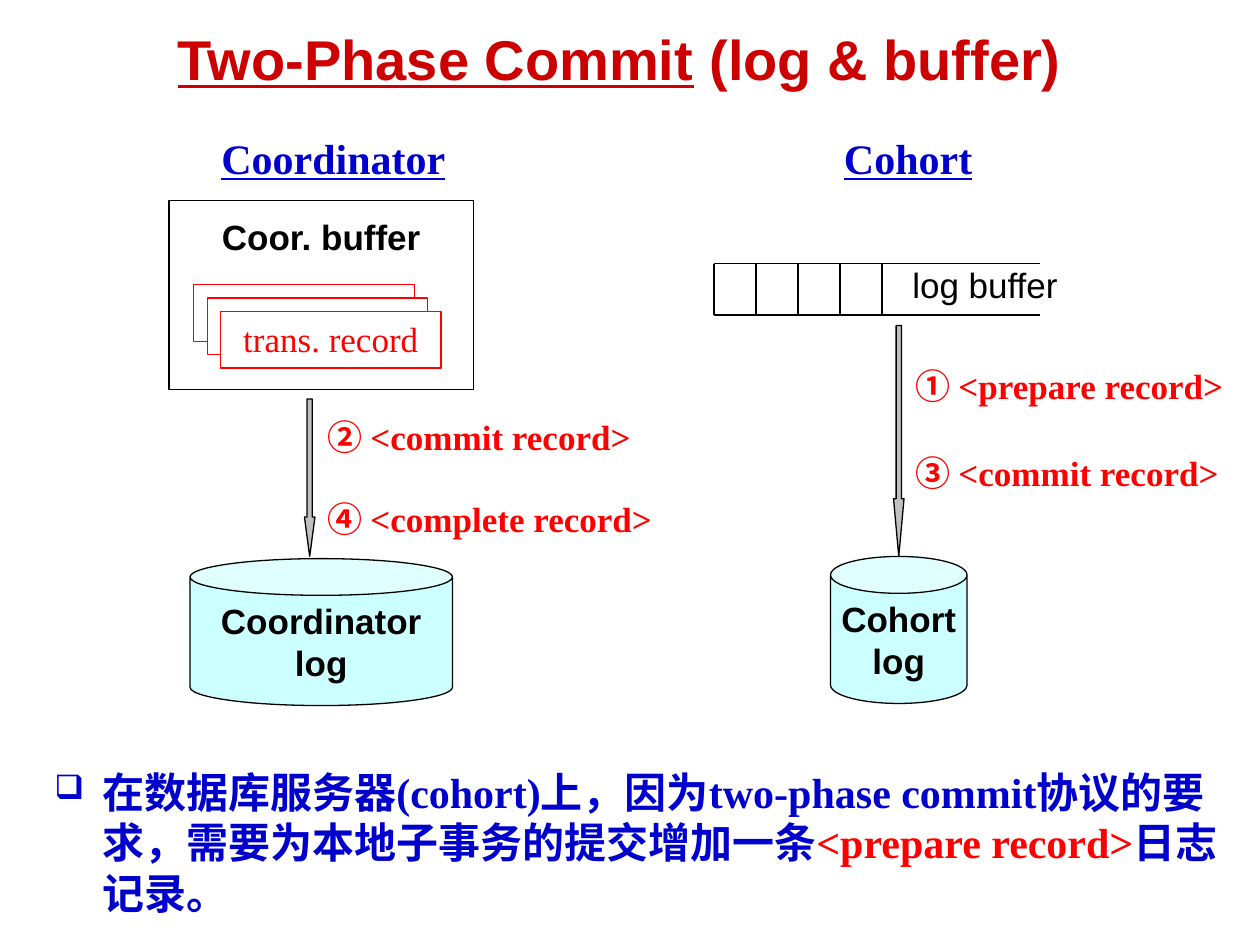
from lxml.etree import SubElement
from pptx import Presentation
from pptx.dml.color import RGBColor
from pptx.enum.shapes import MSO_CONNECTOR, MSO_SHAPE
from pptx.enum.text import MSO_ANCHOR as ANCHOR, PP_ALIGN as ALIGN
from pptx.oxml.ns import qn
from pptx.util import Inches, Pt

COLORS = {"title": "CC0000", "heading": "0000CC", "record": "FF0000", "ink": "000000",
          "paper": "FFFFFF", "disk": "CCFFFF", "arrow": "C0C0C0"}
SANS, SERIF, CJK = "Arial", "Times New Roman", "Noto Sans CJK SC"
CELL = Inches(1) // 12  # the slide is a grid of 120 columns by 90 rows


def cells(*counts):
    return [round(count * CELL) for count in counts]


def color(name):
    return RGBColor.from_string(COLORS[name])


def write(shape, lines, size=20, font=SANS, ink="ink", bold=True, underline=False,
          align=ALIGN.LEFT, anchor=ANCHOR.TOP, wrap=True, spacing=None):
    """Fill a shape with lines; a line is a list of (text, changes) runs."""
    frame = shape.text_frame
    frame.word_wrap = wrap
    frame.vertical_anchor = anchor
    for index, runs in enumerate(lines):
        paragraph = frame.add_paragraph() if index else frame.paragraphs[0]
        paragraph.alignment = align
        if spacing:
            paragraph.line_spacing = spacing
        for text, changes in runs:
            look = {"font": font, "ink": ink, "underline": underline, **changes}
            run = paragraph.add_run()
            run.text = text
            run.font.size = Pt(size)
            run.font.name = look["font"]
            run.font.bold = bold
            run.font.underline = look["underline"]
            run.font.color.rgb = color(look["ink"])
            SubElement(run.font._element, qn("a:ea"), typeface=CJK)
    return frame


class Diagram:
    def __init__(self, slide, line_width=0.75):
        self.shapes = slide.shapes
        self.line_width = Pt(line_width)

    def text(self, box, lines, **look):
        return write(self.shapes.add_textbox(*cells(*box)), lines, **look)

    def shape(self, kind, box, fill="paper", line="ink", adjust=(), lines=(), **look):
        shape = self.shapes.add_shape(kind, *cells(*box))
        shape.shadow.inherit = False
        shape.fill.solid()
        shape.fill.fore_color.rgb = color(fill)
        shape.line.color.rgb = color(line)
        shape.line.width = self.line_width
        for index, value in enumerate(adjust):
            shape.adjustments[index] = value
        if lines:
            write(shape, lines, align=ALIGN.CENTER, **look)
        return shape

    def line(self, *ends):
        line = self.shapes.add_connector(MSO_CONNECTOR.STRAIGHT, *cells(*ends))
        line.line.color.rgb = color("ink")
        line.line.width = self.line_width
        SubElement(line._element.spPr, qn("a:effectLst"))

    def disk(self, box, name, lid):
        self.shape(MSO_SHAPE.CAN, box, "disk", adjust=[lid], wrap=False,
                   anchor=ANCHOR.MIDDLE, lines=[[(name, {})], [("log", {})]])

    def arrow(self, box, head):
        self.shape(MSO_SHAPE.DOWN_ARROW, box, "arrow", adjust=[0.5, head])

    def step(self, left, top, number, record):
        self.text((left, top, 34, 6.2), [[(number + " ", {"font": CJK}), (record, {})]],
                  font=SERIF, ink="record", spacing=1.25)

    def bullet(self, box, runs):
        frame = self.text(box, [runs], size=24, font=SERIF, ink="heading")
        properties = frame.paragraphs[0]._p.get_or_add_pPr()
        indent = Inches(0.38)
        properties.set("marL", str(indent))
        properties.set("indent", str(-indent))
        SubElement(properties, qn("a:buSzPct"), val="80000")
        SubElement(properties, qn("a:buChar"), char="❑")


def main():
    presentation = Presentation()
    presentation.slide_width, presentation.slide_height = cells(120, 90)
    diagram = Diagram(presentation.slides.add_slide(presentation.slide_layouts[6]))

    diagram.text((4, 1.7, 110, 7.7),
                 [[("Two-Phase Commit", {"underline": True}), (" (log & buffer)", {})]],
                 size=32, ink="title", align=ALIGN.CENTER, anchor=ANCHOR.MIDDLE)
    for left, name in ((19.9, "Coordinator"), (79.2, "Cohort")):
        diagram.text((left, 12, 25, 6), [[(name, {})]], size=24, font=SERIF,
                     ink="heading", underline=True)

    # Coordinator buffer with a stack of records
    buffer = diagram.shape(MSO_SHAPE.RECTANGLE, (16.1, 19.1, 29, 18),
                           lines=[[("Coor. buffer", {})]], wrap=False)
    buffer.text_frame.margin_top = Inches(0.12)
    for index in range(3):
        front = [[("trans. record", {})]] if index == 2 else ()
        diagram.shape(MSO_SHAPE.RECTANGLE, (18.45 + 1.28 * index, 27.1 + 1.28 * index, 21, 5.4),
                      line="record", lines=front, font=SERIF, ink="record", bold=False)

    # Cohort log buffer, open to the right
    for row in (25.1, 30):
        diagram.line(68, row, 99, row)
    for index in range(5):
        column = 68 + 4 * index
        diagram.line(column, 25.1, column, 30)
    diagram.text((85.7, 24.5, 19.3, 5.2), [[("log buffer", {})]], bold=False)

    diagram.disk((18.1, 53.2, 25, 14), "Coordinator", 0.25)
    diagram.disk((79.1, 53, 13, 14), "Cohort", 0.27)
    diagram.arrow((29, 38, 1, 15), 3.75)
    diagram.arrow((85.1, 31, 1, 22), 5.5)

    for left, top, number, record in ((30, 38, "②", "<commit record>"),
                                      (86, 33.1, "①", "<prepare record>"),
                                      (30, 45.8, "④", "<complete record>"),
                                      (86, 41.4, "③", "<commit record>")):
        diagram.step(left, top, number, record)

    diagram.bullet((4, 72.4, 113.9, 15.7), [
        ("在数据库服务器(cohort)上，因为two-phase commit协议的要求，需要为本地子事务的提交增加一条", {}),
        ("<prepare record>", {"ink": "record"}),
        ("日志记录。", {})])

    presentation.save("out.pptx")


if __name__ == "__main__":
    main()
